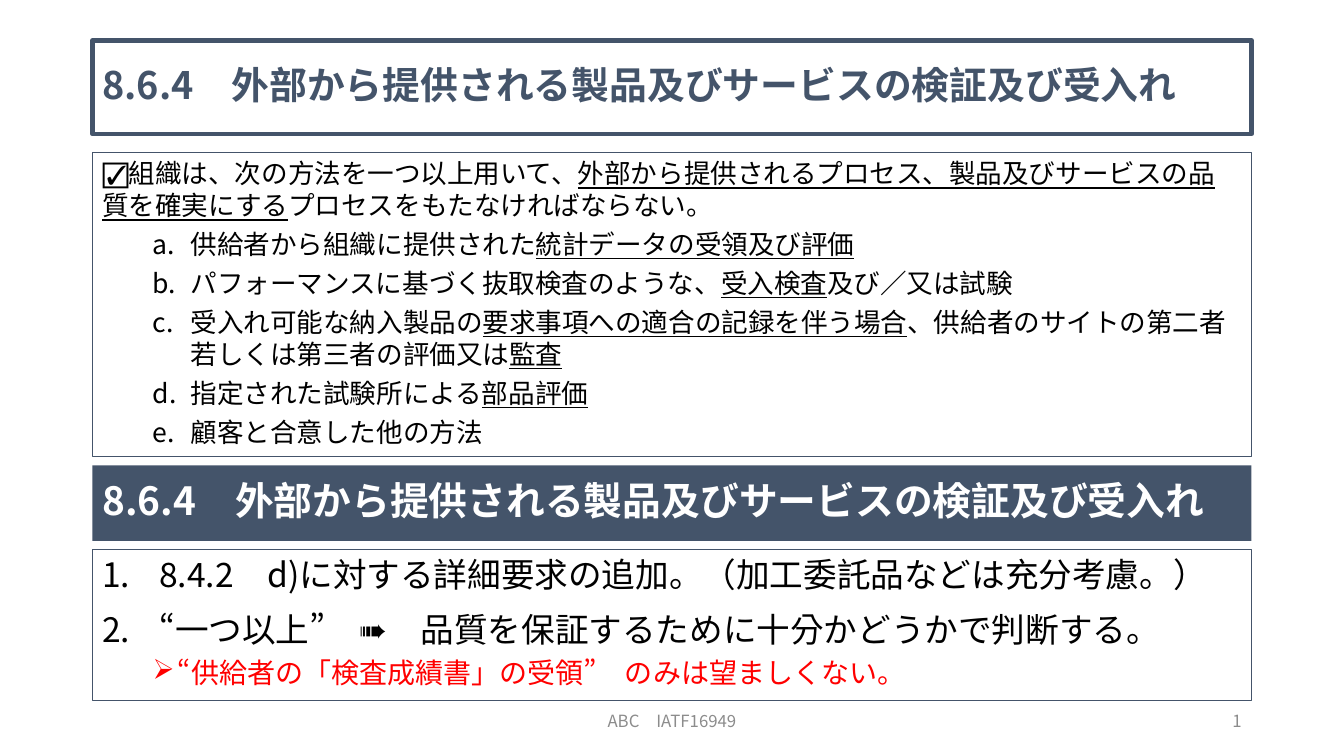
import itertools
import pptx
import pptx.util
import pptx.dml.color
import pptx.enum.lang
import pptx.enum.shapes
import pptx.enum.text
import pptx.oxml.ns
from lxml import etree
from pptx.util import Cm, Pt

FONT = "Noto Sans CJK JP"
COLORS = {"navy": "44546A", "white": "FFFFFF", "black": "000000",
          "gray": "8C8C8C", "red": "FF0000"}
ALIGN = pptx.enum.text.PP_ALIGN
LEFT, WIDTH = 2.33, 29.21
HEAD = "8.6.4　外部から提供される製品及びサービスの検証及び受入れ"


def color(name):
    return pptx.dml.color.RGBColor.from_string(COLORS[name])


def write(para, text, size, ink, bold=False, bullet=None, indent=0, hang=0):
    """Fill a paragraph; stretches between underscores are underlined.

    bullet is a pair of element name and attributes; indents are in cm.
    Curly quotes get runs of their own, in a language that sets them narrow.
    """
    if bullet:
        props = para._p.get_or_add_pPr()
        props.set("marL", str(Cm(indent)))
        props.set("indent", str(-Cm(hang)))
        tag, attrs = bullet
        etree.SubElement(props, pptx.oxml.ns.qn(tag), attrs)
    for i, part in enumerate(text.split("_")):
        for quote, chars in itertools.groupby(part, lambda c: c in "“”"):
            run = para.add_run()
            run.text = "".join(chars)
            font = run.font
            font.size, font.bold, font.name = Pt(size), bold, FONT
            font.underline = i % 2 == 1
            font.color.rgb = color(ink)
            if quote:
                font.language_id = pptx.enum.lang.MSO_LANGUAGE_ID.KOREAN
            etree.SubElement(run._r.get_or_add_rPr(),
                             pptx.oxml.ns.qn("a:ea"), {"typeface": FONT})


deck = pptx.Presentation()
deck.slide_width, deck.slide_height = Cm(33.87), Cm(19.05)
slide = deck.slides.add_slide(deck.slide_layouts[6])

# Framed panels: top, height, fill, line width
panels = {
    "title": (1.02, 2.36, "white", 3),
    "clause": (3.84, 7.67, None, 1),
    "band": (11.73, 1.9, "navy", 0),
    "notes": (13.84, 3.81, None, 1),
}
frames = {}
for name, (top, height, fill, line) in panels.items():
    box = slide.shapes.add_shape(
        pptx.enum.shapes.MSO_SHAPE.RECTANGLE,
        Cm(LEFT), Cm(top), Cm(WIDTH), Cm(height))
    box.shadow.inherit = False
    if fill:
        box.fill.solid()
        box.fill.fore_color.rgb = color(fill)
    else:
        box.fill.background()
    if line:
        box.line.color.rgb = color("navy")
        box.line.width = Pt(line)
    else:
        box.line.fill.background()
    frame = box.text_frame
    frame.word_wrap = True
    frame.vertical_anchor = pptx.enum.text.MSO_ANCHOR.TOP
    frames[name] = frame
frames["clause"].margin_right = Cm(0.35)

# Headings
for name, size, ink in (("title", 27, "navy"), ("band", 27.7, "white")):
    frame = frames[name]
    frame.vertical_anchor = pptx.enum.text.MSO_ANCHOR.MIDDLE
    para = frame.paragraphs[0]
    para.alignment, para.line_spacing = ALIGN.LEFT, 0.9
    write(para, HEAD, size, ink, bold=True)

# Lists: text, size, ink, space before, bullet, indent, hang
letter = ("a:buAutoNum", {"type": "alphaLcPeriod"})
number = ("a:buAutoNum", {"type": "arabicPeriod"})
arrow = ("a:buChar", {"char": "➢"})
methods = [
    "供給者から組織に提供された_統計データの受領及び評価_",
    "パフォーマンスに基づく抜取検査のような、_受入検査_及び／又は試験",
    "受入れ可能な納入製品の_要求事項への適合の記録を伴う場合_、"
    "供給者のサイトの第二者若しくは第三者の評価又は_監査_",
    "指定された試験所による_部品評価_",
    "顧客と合意した他の方法",
]
lists = {
    "clause": [
        ("☑組織は、次の方法を一つ以上用いて、_外部から提供されるプロセス、"
         "製品及びサービスの品質を確実にする_プロセスをもたなければならない。",
         19, "black", 0, None, 0, 0),
        *((text, 19, "black", 5, letter, 2.23, 0.96) for text in methods),
    ],
    "notes": [
        ("8.4.2　d)に対する詳細要求の追加。（加工委託品などは充分考慮。）",
         24, "black", 0, number, 1.43, 1.43),
        ("“一つ以上”　➠　品質を保証するために十分かどうかで判断する。",
         24, "black", 10, number, 1.43, 1.43),
        ("“供給者の「検査成績書」の受領”　のみは望ましくない。",
         20, "red", 5, arrow, 1.9, 0.63),
    ],
}
for name, items in lists.items():
    frame = frames[name]
    for i, (text, size, ink, gap, bullet, indent, hang) in enumerate(items):
        para = frame.add_paragraph() if i else frame.paragraphs[0]
        para.alignment, para.line_spacing = ALIGN.LEFT, 1.0
        para.space_before = Pt(gap)
        if bullet in (letter, arrow):
            para.level = 1
        write(para, text, size, ink, False, bullet, indent, hang)

# Footer and page number
for text, left, width, align in (("ABC　IATF16949", 11.22, 11.43, ALIGN.CENTER),
                                 ("1", 23.92, 7.62, ALIGN.RIGHT)):
    box = slide.shapes.add_textbox(Cm(left), Cm(17.65), Cm(width), Cm(1.01))
    frame = box.text_frame
    frame.word_wrap = True
    frame.vertical_anchor = pptx.enum.text.MSO_ANCHOR.MIDDLE
    para = frame.paragraphs[0]
    para.alignment = align
    write(para, text, 12, "gray")

deck.save("out.pptx")
